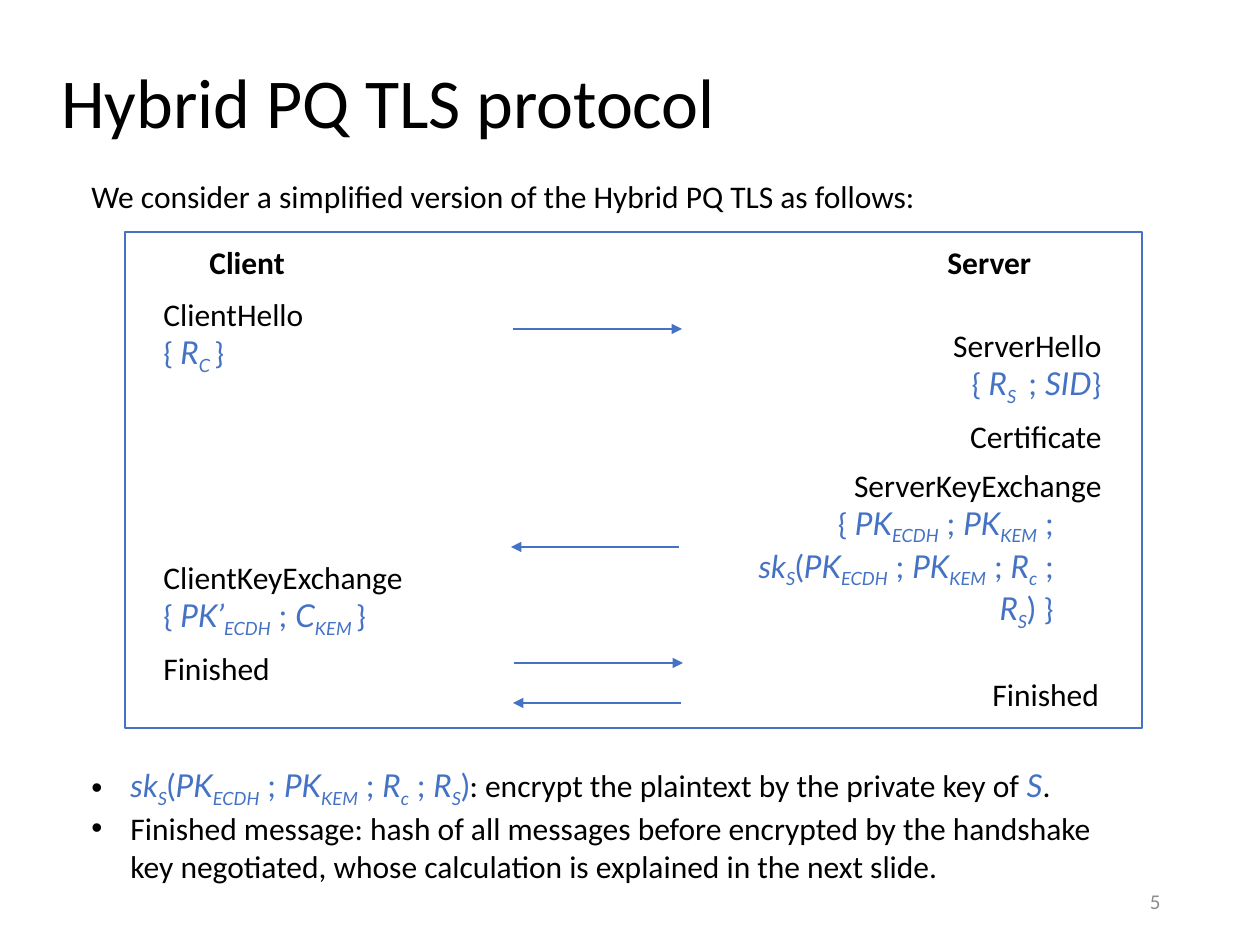
from dataclasses import dataclass, field
from typing import Any

from lxml import etree
from pptx import Presentation
from pptx import util as u
from pptx.dml.color import RGBColor
from pptx.enum import shapes, text
from pptx.oxml import ns


@dataclass(frozen=True)
class Theme:
    px_per_inch: int = 126
    black: str = "000000"
    blue: str = "4472C4"
    grey: str = "8C8C8C"
    sans: str = "Calibri"
    math: str = "Lato"
    title: int = 40
    body: int = 18
    small: int = 12
    frame_line: float = 1
    arrow_line: float = 1.25


T = Theme()
LEFT, RIGHT = text.PP_ALIGN.LEFT, text.PP_ALIGN.RIGHT
MIDDLE = text.MSO_ANCHOR.MIDDLE
GROW = text.MSO_AUTO_SIZE.SHAPE_TO_FIT_TEXT


def style(name: str, color: str, size: int = T.body, bold: bool = False,
          italic: bool = False) -> tuple[dict[str, Any], str]:
    return {"name": name, "size": u.Pt(size), "bold": bold, "italic": italic}, color


STYLES = {
    "title": style(T.sans, T.black, T.title),
    "number": style(T.sans, T.grey, T.small),
    "head": style(T.sans, T.black, bold=True),
    "plain": style(T.sans, T.black),
    "brace": style(T.sans, T.blue),
    "op": style(T.math, T.blue),
    "var": style(T.math, T.blue, italic=True),
    "sub": style(T.math, T.blue, italic=True),
}


@dataclass
class Run:
    text: str
    style: str = "plain"


@dataclass
class Para:
    runs: list[Run]
    align: Any = LEFT
    before: int = 0
    right_indent: int = 0
    bullet_indent: int = 0
    spacing: float = 1.0


@dataclass
class Box:
    at: tuple[int, int, int, int]
    paras: list[Para]
    frame: dict[str, Any] = field(
        default_factory=lambda: {"word_wrap": False, "auto_size": GROW})


@dataclass
class Arrow:
    x1: int
    x2: int
    y: int


def px(n: int) -> u.Emu:
    return u.Emu(round(n * u.Inches(1) / T.px_per_inch))


def rgb(color: str) -> RGBColor:
    return RGBColor.from_string(color)


def line(words: str, name: str = "plain", **options: Any) -> Para:
    return Para([Run(words, name)], **options)


def var(name: str, sub: str) -> list[Run]:
    return [Run(name, "var"), Run(sub, "sub")]


def joined(*terms: list[Run]) -> list[Run]:
    runs = list(terms[0])
    for term in terms[1:]:
        runs += [Run(" ; ", "op"), *term]
    return runs


def draw_run(p: Any, run: Run) -> None:
    r = p.add_run()
    r.text = run.text
    values, color = STYLES[run.style]
    for key, value in values.items():
        setattr(r.font, key, value)
    r.font.color.rgb = rgb(color)
    if run.style == "sub":
        r.font._element.set("baseline", "-25000")


def add_bullet(p: Any, indent: int) -> None:
    pPr = p._p.get_or_add_pPr()
    pPr.set("marL", str(px(indent)))
    pPr.set("indent", str(-px(indent)))
    color = etree.SubElement(pPr, ns.qn("a:buClr"))
    etree.SubElement(color, ns.qn("a:srgbClr"), val=T.black)
    etree.SubElement(pPr, ns.qn("a:buFont"), typeface="Arial")
    etree.SubElement(pPr, ns.qn("a:buChar"), char="•")


def draw_box(s: Any, box: Box) -> None:
    tf = s.shapes.add_textbox(*map(px, box.at)).text_frame
    for key, value in box.frame.items():
        setattr(tf, key, value)
    for i, para in enumerate(box.paras):
        p = tf.add_paragraph() if i else tf.paragraphs[0]
        formats = {"alignment": para.align, "space_before": u.Pt(para.before),
                   "line_spacing": para.spacing}
        for key, value in formats.items():
            setattr(p, key, value)
        if para.right_indent:
            p._p.get_or_add_pPr().set("marR", str(px(para.right_indent)))
        if para.bullet_indent:
            add_bullet(p, para.bullet_indent)
        for run in para.runs:
            draw_run(p, run)


def draw_arrow(s: Any, arrow: Arrow) -> None:
    sp = s.shapes.add_connector(shapes.MSO_CONNECTOR.STRAIGHT,
                                *map(px, (arrow.x1, arrow.y, arrow.x2, arrow.y)))
    sp.line.color.rgb = rgb(T.blue)
    sp.line.width = u.Pt(T.arrow_line)
    etree.SubElement(sp.line._get_or_add_ln(), ns.qn("a:tailEnd"), type="triangle")
    etree.SubElement(sp._element.spPr, ns.qn("a:effectLst"))


def draw_frame(s: Any, at: tuple[int, int, int, int]) -> None:
    sp = s.shapes.add_shape(shapes.MSO_SHAPE.RECTANGLE, *map(px, at))
    sp.shadow.inherit = False
    sp.fill.background()
    sp.line.color.rgb = rgb(T.blue)
    sp.line.width = u.Pt(T.frame_line)


OPEN, CLOSE = Run("{ ", "brace"), Run("}", "brace")
KEYS = joined(var("PK", "ECDH"), var("PK", "KEM"))
SIGNED = [*var("sk", "S"), Run("(", "op"),
          *joined(KEYS, var("R", "c"), var("R", "S"))]

BOXES = [
    Box((49, 50, 1086, 111), [line("Hybrid PQ TLS protocol", "title", spacing=0.9)],
        {"word_wrap": True, "vertical_anchor": MIDDLE}),
    Box((890, 876, 283, 50), [line("5", "number", align=RIGHT)],
        {"word_wrap": True, "vertical_anchor": MIDDLE}),
    Box((197, 237, 101, 50), [line("Client", "head")]),
    Box((935, 237, 110, 50), [line("Server", "head")]),
    Box((151, 289, 181, 89), [line("ClientHello"), Para([OPEN, *var("R", "C "), CLOSE])]),
    Box((730, 320, 384, 263), [
        line("ServerHello", align=RIGHT),
        Para([OPEN, *joined(var("R", "S "), [Run("SID", "var")]), CLOSE], RIGHT),
        line("Certificate", align=RIGHT, before=6),
        line("ServerKeyExchange", align=RIGHT, before=6),
        Para([OPEN, *KEYS, Run(" ;", "op")], RIGHT, right_indent=48),
        Para([*SIGNED, Run(") ", "op"), CLOSE], RIGHT),
    ]),
    Box((151, 552, 267, 137), [
        line("ClientKeyExchange"),
        Para([OPEN, *joined(var("PK’", "ECDH"), var("C", "KEM ")), CLOSE]),
        line("Finished", before=6),
    ]),
    Box((980, 669, 134, 50), [line("Finished")]),
    Box((79, 171, 859, 50),
        [line("We consider a simplified version of the Hybrid PQ TLS as follows:")]),
    Box((79, 760, 1062, 127), [
        Para([*SIGNED, Run(")", "op"), Run(": encrypt the plaintext by the private key of "),
              Run("S", "var"), Run(".")], bullet_indent=39),
        line("Finished message: hash of all messages before encrypted by the handshake "
             "key negotiated, whose calculation is explained in the next slide.",
             bullet_indent=39),
    ], {"word_wrap": True, "auto_size": GROW}),
]
ARROWS = [Arrow(513, 682, 329), Arrow(679, 511, 547),
          Arrow(681, 513, 703), Arrow(514, 683, 663)]


def main() -> None:
    prs = Presentation()
    prs.slide_width, prs.slide_height = u.Inches(10), u.Inches(7.5)
    s = prs.slides.add_slide(prs.slide_layouts[6])
    draw_frame(s, (125, 232, 1017, 496))
    for box in BOXES:
        draw_box(s, box)
    for arrow in ARROWS:
        draw_arrow(s, arrow)
    prs.save("out.pptx")


if __name__ == "__main__":
    main()
